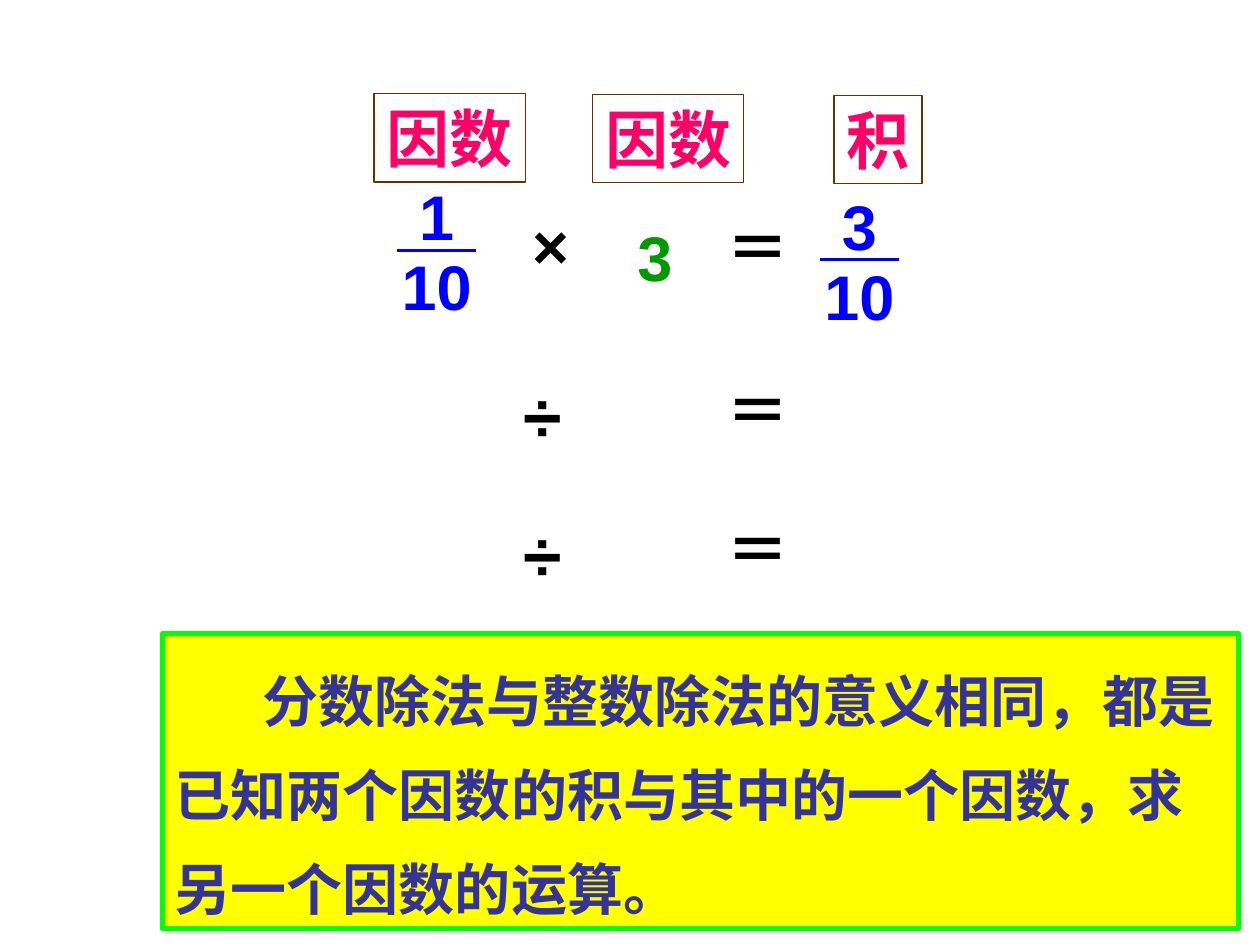
from dataclasses import dataclass

from lxml import etree
from pptx import Presentation
from pptx.dml.color import RGBColor
from pptx.enum import shapes, text
from pptx.oxml import ns
from pptx.util import Pt


@dataclass(frozen=True)
class Theme:
    font: str = "Arial"
    ink: str = "000000"
    label: str = "FF0066"
    label_line: str = "663300"
    fraction: str = "0000FF"
    whole: str = "009900"
    rule: str = "333399"
    rule_fill: str = "FFFF00"
    rule_line: str = "00FF00"
    body_size: int = 32
    size: int = 36
    divide_size: int = 40


@dataclass(frozen=True)
class Label:
    wording: str
    left: float
    top: float
    width: float


@dataclass(frozen=True)
class Symbol:
    wording: str
    center: float
    top: float
    color: str
    size: int


@dataclass(frozen=True)
class Fraction:
    numerator: str
    denominator: str
    left: float
    bar: float


THEME = Theme()
LINE_HEIGHT = 50.4
BAR_WIDTH = 45.4
EQUALS_CENTER = 433.4
DIVIDE_CENTER = 310.3

LABELS = [
    Label("因数", 213.8, 53.6, 86.4),
    Label("因数", 338.6, 54, 86.4),
    Label("积", 476.6, 54.6, 50.4),
]
SYMBOLS = [
    Symbol("×", 314.3, 114.5, THEME.ink, THEME.size),
    Symbol("3", 374.2, 121.3, THEME.whole, THEME.size),
]
SYMBOLS += [Symbol("＝", EQUALS_CENTER, top, THEME.ink, THEME.size)
            for top in (115.9, 208.8, 288)]
SYMBOLS += [Symbol("÷", DIVIDE_CENTER, top, THEME.ink, THEME.divide_size)
            for top in (209.5, 288.7)]
FRACTIONS = [
    Fraction("1", "10", 226.8, 143.2),
    Fraction("3", "10", 468.4, 148.4),
]
RULE = ("分数除法与整数除法的意义相同，都是已知两个因数的积与其中的一个因数，"
        "求另一个因数的运算。")


def write(box, wording: str, color: str, size: int, wrap: bool = False):
    """Fill a box with one bold paragraph and return the paragraph."""
    frame = box.text_frame
    frame.text = wording
    frame.word_wrap = wrap
    frame.auto_size = text.MSO_AUTO_SIZE.SHAPE_TO_FIT_TEXT
    frame.vertical_anchor = text.MSO_ANCHOR.TOP
    para = frame.paragraphs[0]
    para.alignment = text.PP_ALIGN.LEFT if wrap else text.PP_ALIGN.CENTER
    for span in para.runs:
        span.font.name = THEME.font
        span.font.size = Pt(size)
        span.font.bold = True
        span.font.color.rgb = RGBColor.from_string(color)
    return para


def add_frame(page, left: float, top: float, width: float, height: float,
              line: str, weight: float):
    box = page.shapes.add_shape(shapes.MSO_SHAPE.RECTANGLE,
                                Pt(left), Pt(top), Pt(width), Pt(height))
    box.shadow.inherit = False
    box.fill.background()
    box.line.color.rgb = RGBColor.from_string(line)
    box.line.width = Pt(weight)
    return box


def add_label(page, label: Label) -> None:
    box = add_frame(page, label.left, label.top, label.width, LINE_HEIGHT,
                    THEME.label_line, 0.75)
    write(box, label.wording, THEME.label, THEME.size)


def add_symbol(page, symbol: Symbol) -> None:
    """Place a short text centred on the symbol's middle."""
    height = LINE_HEIGHT * symbol.size / THEME.size
    width = 14.4 + symbol.size * (1 if symbol.wording == "＝"
                                  else 0.56 * len(symbol.wording))
    box = page.shapes.add_textbox(Pt(symbol.center - width / 2), Pt(symbol.top),
                                  Pt(width), Pt(height))
    write(box, symbol.wording, symbol.color, symbol.size)


def add_fraction(page, fraction: Fraction) -> None:
    bar = page.shapes.add_connector(
        shapes.MSO_CONNECTOR.STRAIGHT, Pt(fraction.left), Pt(fraction.bar),
        Pt(fraction.left + BAR_WIDTH), Pt(fraction.bar))
    bar.line.color.rgb = RGBColor.from_string(THEME.fraction)
    bar.line.width = Pt(2)
    etree.SubElement(bar._element.spPr, ns.qn("a:effectLst"))
    center = fraction.left + BAR_WIDTH / 2
    for wording, offset in ((fraction.numerator, -45), (fraction.denominator, -5)):
        add_symbol(page, Symbol(wording, center, fraction.bar + offset,
                                THEME.fraction, THEME.size))


def add_rule(page) -> None:
    box = add_frame(page, 92.9, 362.2, 614.9, 168.5, THEME.rule_line, 3)
    box.fill.solid()
    box.fill.fore_color.rgb = RGBColor.from_string(THEME.rule_fill)
    para = write(box, RULE, THEME.rule, THEME.body_size, wrap=True)
    para.line_spacing = 1.4
    properties = para._p.get_or_add_pPr()
    properties.set("marL", "0")
    properties.set("indent", str(Pt(50)))


def main() -> None:
    deck = Presentation()
    deck.slide_width, deck.slide_height = Pt(720), Pt(540)
    page = deck.slides.add_slide(deck.slide_layouts[6])
    for label in LABELS:
        add_label(page, label)
    for symbol in SYMBOLS:
        add_symbol(page, symbol)
    for fraction in FRACTIONS:
        add_fraction(page, fraction)
    add_rule(page)
    deck.save("out.pptx")


if __name__ == "__main__":
    main()
